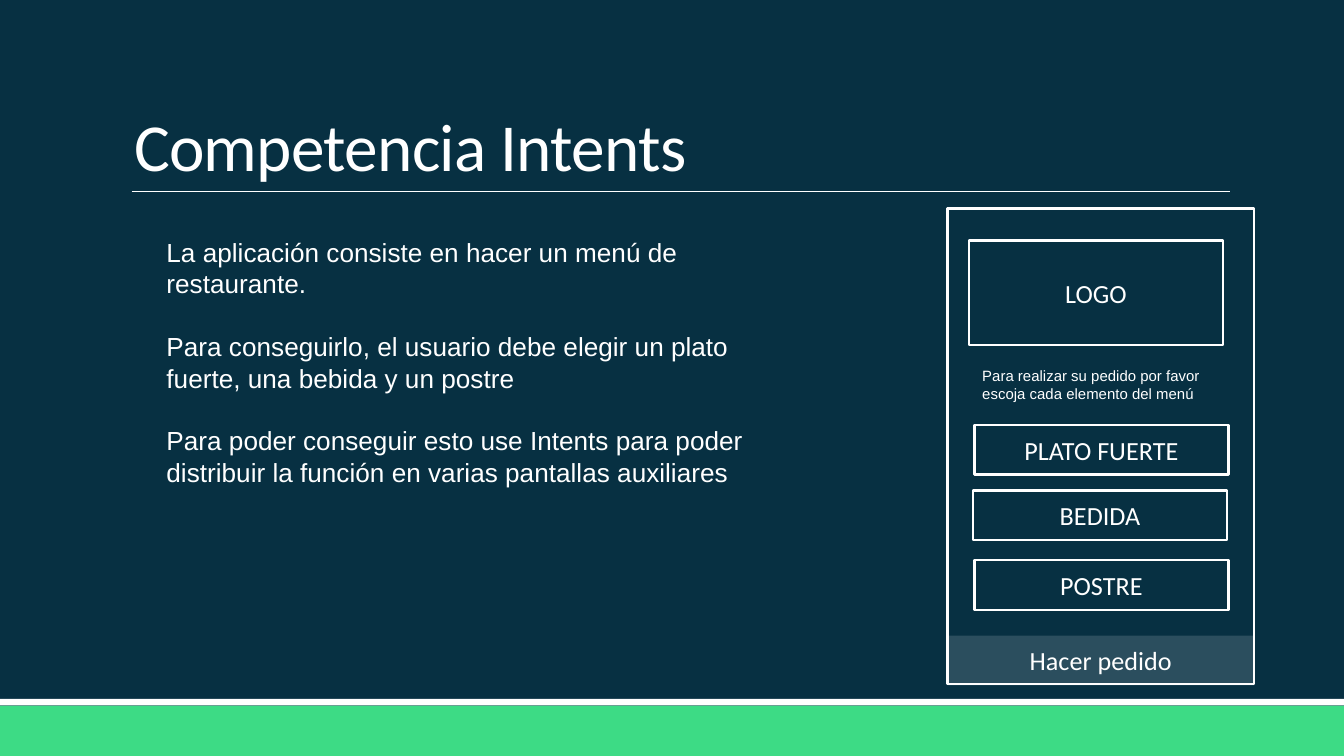
import dataclasses

import lxml.etree
import pptx
import pptx.dml.color
import pptx.enum.shapes
import pptx.enum.text
import pptx.oxml.ns
import pptx.util

SLIDE_WIDTH = pptx.util.Inches(10)
SLIDE_HEIGHT = pptx.util.Inches(5.625)


@dataclasses.dataclass(frozen=True)
class Theme:
    background: str = "073042"
    foreground: str = "FFFFFF"
    accent: str = "3DDB85"
    heading_font: str = "Calibri"
    body_font: str = "Arial"
    title_size: float = 36
    body_size: float = 14
    note_size: float = 8
    rule_width: float = 0.5
    outline_width: float = 1.25
    paragraph_gap: float = 16.8


THEME = Theme()


def color(value):
    return pptx.dml.color.RGBColor.from_string(value)


def across(percent):
    return round(SLIDE_WIDTH * percent / 100)


def down(percent):
    return round(SLIDE_HEIGHT * percent / 100)


def place(left, top, width, height):
    """Turn percentages of the slide into a position and a size."""
    return across(left), down(top), across(width), down(height)


def write(shape, text, font, size):
    frame = shape.text_frame
    frame.word_wrap = True
    frame.text = text
    for paragraph in frame.paragraphs:
        for run in paragraph.runs:
            run.font.name = font
            run.font.size = pptx.util.Pt(size)
            run.font.color.rgb = color(THEME.foreground)
    return frame


def add_box(slide, area, text="", fill=None, opacity=None, outlined=False):
    shape = slide.shapes.add_shape(
        pptx.enum.shapes.MSO_SHAPE.RECTANGLE, *place(*area))
    shape.shadow.inherit = False
    if fill:
        shape.fill.solid()
        shape.fill.fore_color.rgb = color(fill)
    else:
        shape.fill.background()
    if opacity is not None:
        fill_color = shape.fill._xPr.find(".//" + pptx.oxml.ns.qn("a:srgbClr"))
        alpha = lxml.etree.SubElement(fill_color, pptx.oxml.ns.qn("a:alpha"))
        alpha.set("val", str(opacity * 1000))
    if outlined:
        shape.line.color.rgb = color(THEME.foreground)
        shape.line.width = pptx.util.Pt(THEME.outline_width)
    else:
        shape.line.fill.background()
    if text:
        frame = write(shape, text, THEME.heading_font, THEME.body_size)
        frame.vertical_anchor = pptx.enum.text.MSO_ANCHOR.MIDDLE
        frame.paragraphs[0].alignment = pptx.enum.text.PP_ALIGN.CENTER
    return shape


def add_text(slide, area, text, font, size):
    shape = slide.shapes.add_textbox(*place(*area))
    return write(shape, text, font, size)


def add_rule(slide, left, right, top):
    rule = slide.shapes.add_connector(
        pptx.enum.shapes.MSO_CONNECTOR.STRAIGHT,
        across(left), down(top), across(right), down(top))
    rule.line.color.rgb = color(THEME.foreground)
    rule.line.width = pptx.util.Pt(THEME.rule_width)
    lxml.etree.SubElement(
        rule._element.spPr, pptx.oxml.ns.qn("a:effectLst"))


def add_title(slide, text):
    frame = add_text(slide, (9, 4.27, 82.5, 21.16), text,
                     THEME.heading_font, THEME.title_size)
    frame.vertical_anchor = pptx.enum.text.MSO_ANCHOR.BOTTOM
    paragraph = frame.paragraphs[0]
    paragraph.line_spacing = 0.85
    paragraph.runs[0].font._element.set("spc", "-40")


def add_phone(slide):
    left, width = 70.5, 22.8
    inner_width, button_height = 18.9, 6.58

    # Screen, logo area and instructions
    add_box(slide, (left, 27.56, width, 62.93), outlined=True)
    add_box(slide, (72.1, 31.82, inner_width, 13.87), "LOGO", outlined=True)
    add_text(slide, (72.1, 47.64, inner_width, button_height),
             "Para realizar su pedido por favor escoja cada elemento del menú",
             THEME.body_font, THEME.note_size)

    # Menu buttons
    buttons = [("PLATO FUERTE", 72.5, 56.18),
               ("BEDIDA", 72.4, 64.89),
               ("POSTRE", 72.5, 74.13)]
    for label, button_left, top in buttons:
        add_box(slide, (button_left, top, inner_width, button_height),
                label, outlined=True)

    # Order bar
    add_box(slide, (left, 84.09, width, button_height), "Hacer pedido",
            fill=THEME.foreground, opacity=15)


def add_description(slide, paragraphs):
    frame = add_text(slide, (11.4, 30.4, 46.5, 35.38), "\n".join(paragraphs),
                     THEME.body_font, THEME.body_size)
    for paragraph in frame.paragraphs[1:]:
        paragraph.space_before = pptx.util.Pt(THEME.paragraph_gap)


def main():
    presentation = pptx.Presentation()
    presentation.slide_width = SLIDE_WIDTH
    presentation.slide_height = SLIDE_HEIGHT
    slide = presentation.slides.add_slide(presentation.slide_layouts[6])
    slide.background.fill.solid()
    slide.background.fill.fore_color.rgb = color(THEME.background)

    # Footer bands
    add_box(slide, (0, 93.33, 100, 6.67), fill=THEME.accent)
    add_box(slide, (0, 92.44, 100, 0.89), fill=THEME.foreground)

    # Heading
    add_rule(slide, 9.8, 91.5, 25.35)
    add_title(slide, "Competencia Intents")

    # Content
    add_phone(slide)
    add_description(slide, [
        "La aplicación consiste en hacer un menú de restaurante.",
        "Para conseguirlo, el usuario debe elegir un plato fuerte, "
        "una bebida y un postre",
        "Para poder conseguir esto use Intents para poder distribuir "
        "la función en varias pantallas auxiliares",
    ])
    presentation.save("out.pptx")


if __name__ == "__main__":
    main()
